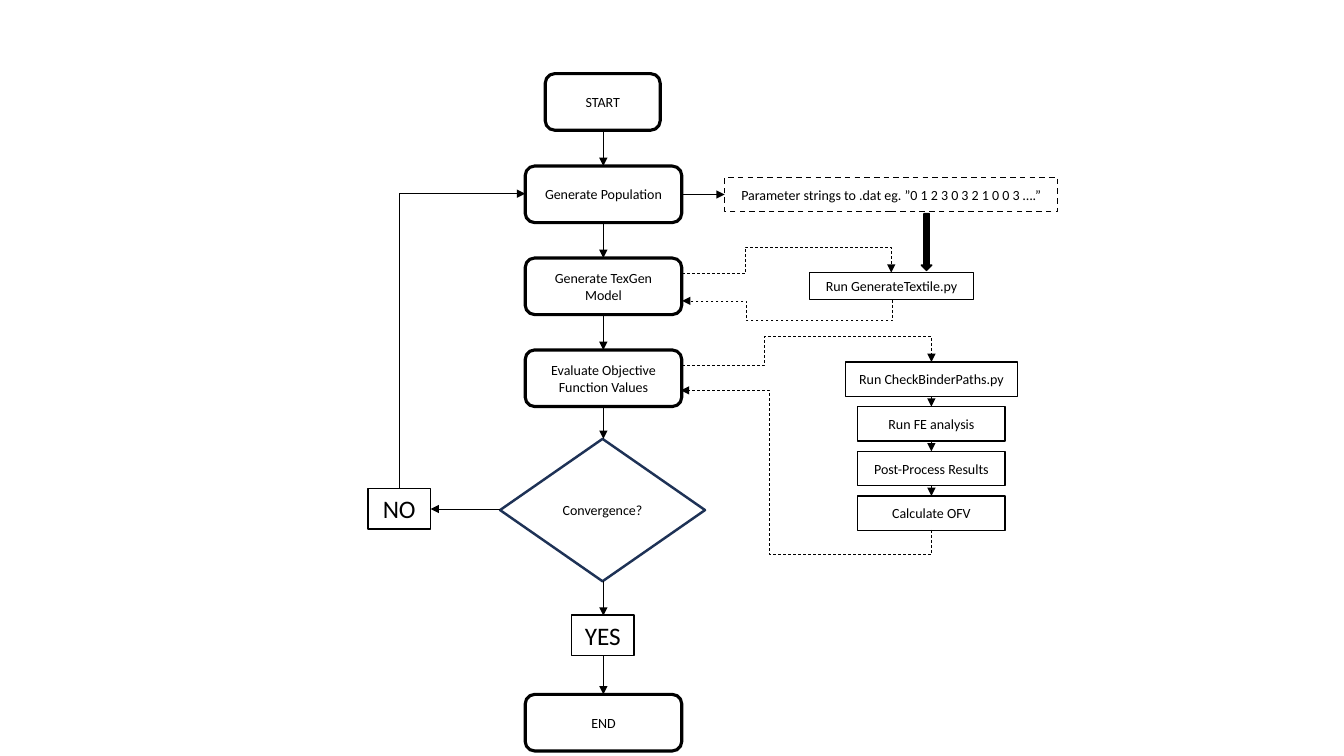
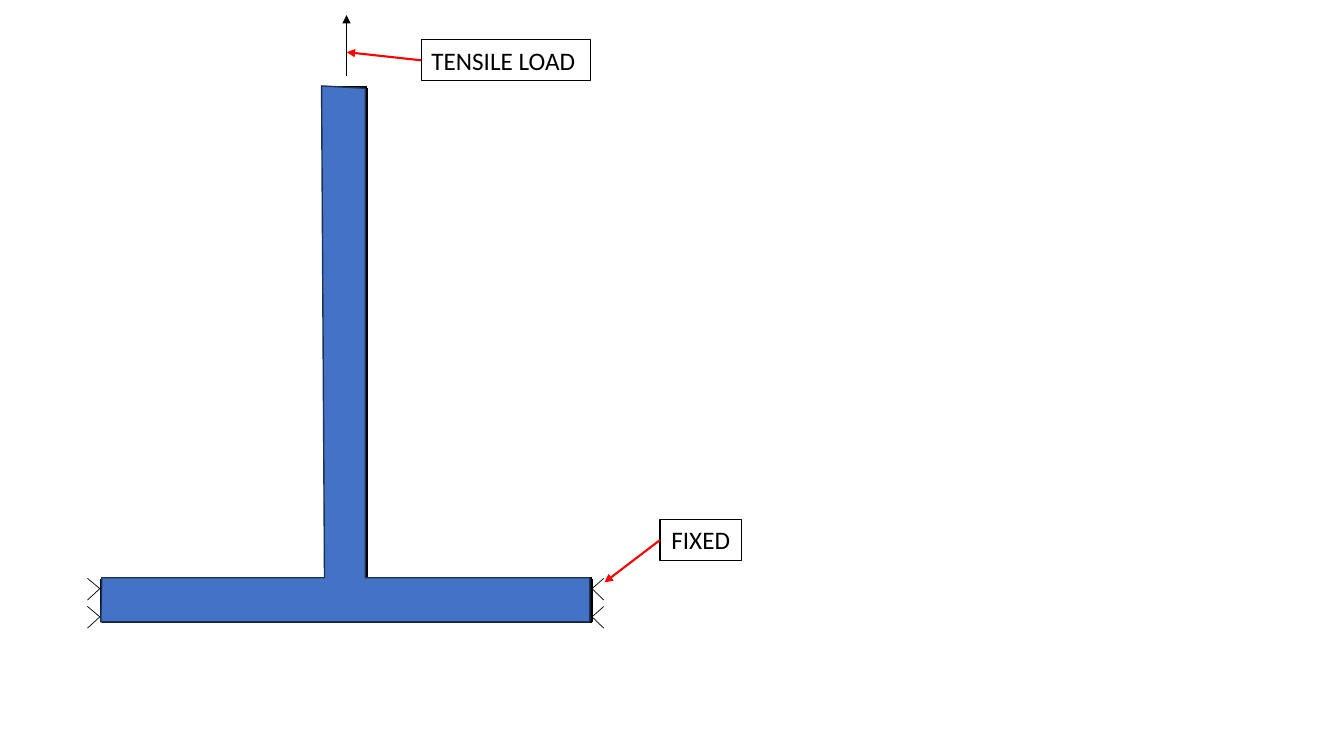
from dataclasses import dataclass
from typing import Optional

from lxml import etree
from pptx import Presentation
from pptx import util as u
from pptx.dml import color
from pptx.enum import dml, shapes, text
from pptx.oxml import ns

COLORS = {
    "ink": "000000",
    "paper": "FFFFFF",
    "navy": "1E3256",
    "steel": "4472C4",
    "callout": "FF0000",
}
FONT = "Calibri"
KIND = shapes.MSO_SHAPE
ALIGN = text.PP_ALIGN
MIDDLE = text.MSO_ANCHOR.MIDDLE
TOP = text.MSO_ANCHOR.TOP


@dataclass
class Box:
    x: float
    y: float
    w: float
    h: float
    label: str = ""
    kind: shapes.MSO_SHAPE = KIND.RECTANGLE
    fill: Optional[str] = "paper"
    line: str = "ink"
    weight: float = 1
    dashed: bool = False
    size: float = 10
    align: text.PP_ALIGN = ALIGN.CENTER
    anchor: text.MSO_ANCHOR = MIDDLE


@dataclass
class Line:
    x1: float
    y1: float
    x2: float
    y2: float
    weight: float = 0.5
    line: str = "ink"
    arrow: bool = True


@dataclass
class Elbow:
    start: tuple[float, float]
    end: tuple[float, float]
    bends: tuple[float, ...] = ()
    vertical: bool = False
    dashed: bool = True


def rgb(name: str) -> color.RGBColor:
    return color.RGBColor.from_string(COLORS[name])


def style_line(sp, name: str, weight: float, dashed: bool = False) -> None:
    sp.line.color.rgb = rgb(name)
    sp.line.width = u.Pt(weight)
    if dashed:
        sp.line.dash_style = dml.MSO_LINE.DASH


def style_fill(sp, name: Optional[str]) -> None:
    sp.shadow.inherit = False
    if name is None:
        sp.fill.background()
    else:
        sp.fill.solid()
        sp.fill.fore_color.rgb = rgb(name)


def draw_box(s, box: Box) -> None:
    sp = s.shapes.add_shape(box.kind, *map(u.Pt, (box.x, box.y, box.w, box.h)))
    style_fill(sp, box.fill)
    style_line(sp, box.line, box.weight, box.dashed)
    if not box.label:
        return
    tf = sp.text_frame
    tf.word_wrap = True
    tf.vertical_anchor = box.anchor
    p = tf.paragraphs[0]
    p.alignment = box.align
    r = p.add_run()
    r.text = box.label
    r.font.name = FONT
    r.font.size = u.Pt(box.size)
    r.font.color.rgb = rgb("ink")


def finish_connector(sp, arrow: bool) -> None:
    props = sp._element.spPr
    if arrow:
        ln = props.find(ns.qn("a:ln"))
        etree.SubElement(ln, ns.qn("a:tailEnd"), type="triangle")
    etree.SubElement(props, ns.qn("a:effectLst"))


def draw_line(s, line: Line) -> None:
    ends = map(u.Pt, (line.x1, line.y1, line.x2, line.y2))
    sp = s.shapes.add_connector(shapes.MSO_CONNECTOR.STRAIGHT, *ends)
    style_line(sp, line.line, line.weight)
    finish_connector(sp, line.arrow)


def draw_elbow(s, elbow: Elbow) -> None:
    (x1, y1), (x2, y2) = elbow.start, elbow.end
    dx, dy = x2 - x1, y2 - y1
    run, rise = (dy, -dx) if elbow.vertical else (dx, dy)
    w, h = abs(run), abs(rise)
    left, top = (x1 + x2 - w) / 2, (y1 + y2 - h) / 2
    sp = s.shapes.add_connector(
        shapes.MSO_CONNECTOR.ELBOW, *map(u.Pt, (left, top, left + w, top + h))
    )
    props = sp._element.spPr
    xfrm = props.find(ns.qn("a:xfrm"))
    if elbow.vertical:
        xfrm.set("rot", "5400000")
    if run < 0:
        xfrm.set("flipH", "1")
    if rise < 0:
        xfrm.set("flipV", "1")
    geom = props.find(ns.qn("a:prstGeom"))
    geom.set("prst", f"bentConnector{len(elbow.bends) + 2}")
    guides = geom.find(ns.qn("a:avLst"))
    if guides is None:
        guides = etree.SubElement(geom, ns.qn("a:avLst"))
    axes = [(x1, dx), (y1, dy)]
    if elbow.vertical:
        axes.reverse()
    for number, (bend, (origin, span)) in enumerate(zip(elbow.bends, axes), 1):
        share = round((bend - origin) / span * 100000)
        etree.SubElement(guides, ns.qn("a:gd"), name=f"adj{number}", fmla=f"val {share}")
    style_line(sp, "ink", 0.5, elbow.dashed)
    finish_connector(sp, True)


def draw_outline(s, points: list[tuple[float, float]], fill: str, line: str) -> None:
    corners = [(u.Pt(x), u.Pt(y)) for x, y in points]
    builder = s.shapes.build_freeform(*corners[0], scale=1.0)
    builder.add_line_segments(corners[1:], close=True)
    sp = builder.convert_to_shape()
    style_fill(sp, fill)
    style_line(sp, line, 1)


def step(y: float, label: str, x: float = 375.2, w: float = 111.8) -> Box:
    return Box(x, y, w, 40.4, label, KIND.ROUNDED_RECTANGLE, weight=2.25)


def answer(x: float, y: float, label: str) -> Box:
    return Box(x, y, 44.8, 29.1, label, size=18, anchor=TOP)


def build_flowchart(s) -> None:
    step_top, step_pitch, step_h = 118.6, 65.7, 40.4
    task_top, task_pitch, task_h = 258.6, 31.9, 24.5
    mid_x, task_x = 431, 665.3
    steps = ["Generate Population", "Generate TexGen Model", "Evaluate Objective Function Values"]
    tasks = ["Run CheckBinderPaths.py", "Run FE analysis", "Post-Process Results", "Calculate OFV"]

    boxes = [step(52.6, "START", 389.5, 82.1), step(496, "END")]
    boxes += [step(step_top + i * step_pitch, label) for i, label in enumerate(steps)]
    for i, label in enumerate(tasks):
        w = 105.1 if i else 123.1
        boxes.append(Box(task_x - w / 2, task_top + i * task_pitch, w, task_h, label))
    boxes += [
        Box(517.6, 126.7, 237.7, 24.5, "Parameter strings to .dat eg. ”0 1 2 3 0 3 2 1 0 0 3 ….”",
            dashed=True),
        Box(357.2, 313.5, 146.4, 101.7, "Convergence?", KIND.DIAMOND, None, "navy", 1.75),
        answer(408.2, 439.3, "YES"),
        answer(262.8, 348.9, "NO"),
        Box(578, 194.8, 117.5, 19.4, "Run GenerateTextile.py", fill=None, anchor=TOP),
        Box(658.1, 152.6, 7.5, 40.6, kind=KIND.DOWN_ARROW, fill="ink"),
    ]
    for box in boxes:
        draw_box(s, box)

    drops = [(93, step_top), (415.2, 439.8), (468.4, 496)]
    for i in range(len(steps)):
        top = step_top + i * step_pitch
        drops.append((top + step_h, top + step_pitch if i < 2 else 313.5))
    lines = [Line(mid_x, y1, mid_x, y2) for y1, y2 in drops]
    for i in range(len(tasks) - 1):
        top = task_top + i * task_pitch
        lines.append(Line(task_x, top + task_h, task_x, top + task_pitch))
    lines += [Line(357.2, 363.6, 307.6, 363.6), Line(487, 138.9, 517.6, 138.9)]
    for line in lines:
        draw_line(s, line)

    for elbow in (
        Elbow((285.2, 348.9), (375.2, 138.4), vertical=True, dashed=False),
        Elbow((487.2, 261), (task_x, task_top), (546, 240.4)),
        Elbow((task_x, 378.5), (486.4, 278.8), (396, 549.8), vertical=True),
        Elbow((487.2, 195.5), (636.6, 194.8), (532.5, 176.7)),
        Elbow((637.5, 214.2), (487.2, 214.9), (229, 533), vertical=True),
    ):
        draw_elbow(s, elbow)


def build_specimen(s) -> None:
    left, web_left, web_right, right = 72.7, 232.6, 262.1, 422.6
    top, flange, base = 62.6, 413.3, 444.2
    for ends in (
        (web_left, top, web_right, top),
        (web_right, top, web_right, flange),
        (web_left, top, web_left, flange),
        (web_right, flange, right, flange),
        (left, flange, web_left, flange),
        (right, flange, right, base),
        (left, flange, left, base),
        (left, base, right, base),
    ):
        draw_line(s, Line(*ends, weight=2.25, arrow=False))

    for tip_x, reach in ((422.9, 8.4), (71.3, -8.8)):
        for tip_y in (420.5, 440.6):
            for rise in (-7.4, 8.1):
                draw_line(s, Line(tip_x, tip_y, tip_x + reach, tip_y + rise, arrow=False))

    draw_outline(
        s,
        [(229.7, 61.4), (260.9, 63.1), (260.9, 412.7), (421.3, 412.7),
         (421.3, 444.2), (72, 444.2), (72.7, 412.7), (231.8, 412.7)],
        "steel", "navy",
    )
    draw_line(s, Line(247.5, 54, 247.5, 10.8))
    draw_box(s, Box(301, 28.5, 120.8, 29.1, "TENSILE LOAD", fill=None, weight=0.75,
                    size=18, align=ALIGN.LEFT, anchor=TOP))
    draw_box(s, Box(471.4, 371.2, 58.2, 29.1, "FIXED", size=18, anchor=TOP))
    draw_line(s, Line(301, 43.1, 247.7, 37.3, 1.5, "callout"))
    draw_line(s, Line(471.4, 385.8, 431.8, 416, 1.5, "callout"))


prs = Presentation()
prs.slide_width, prs.slide_height = u.Pt(960), u.Pt(540)
for build in (build_flowchart, build_specimen):
    build(prs.slides.add_slide(prs.slide_layouts[6]))
prs.save("out.pptx")
